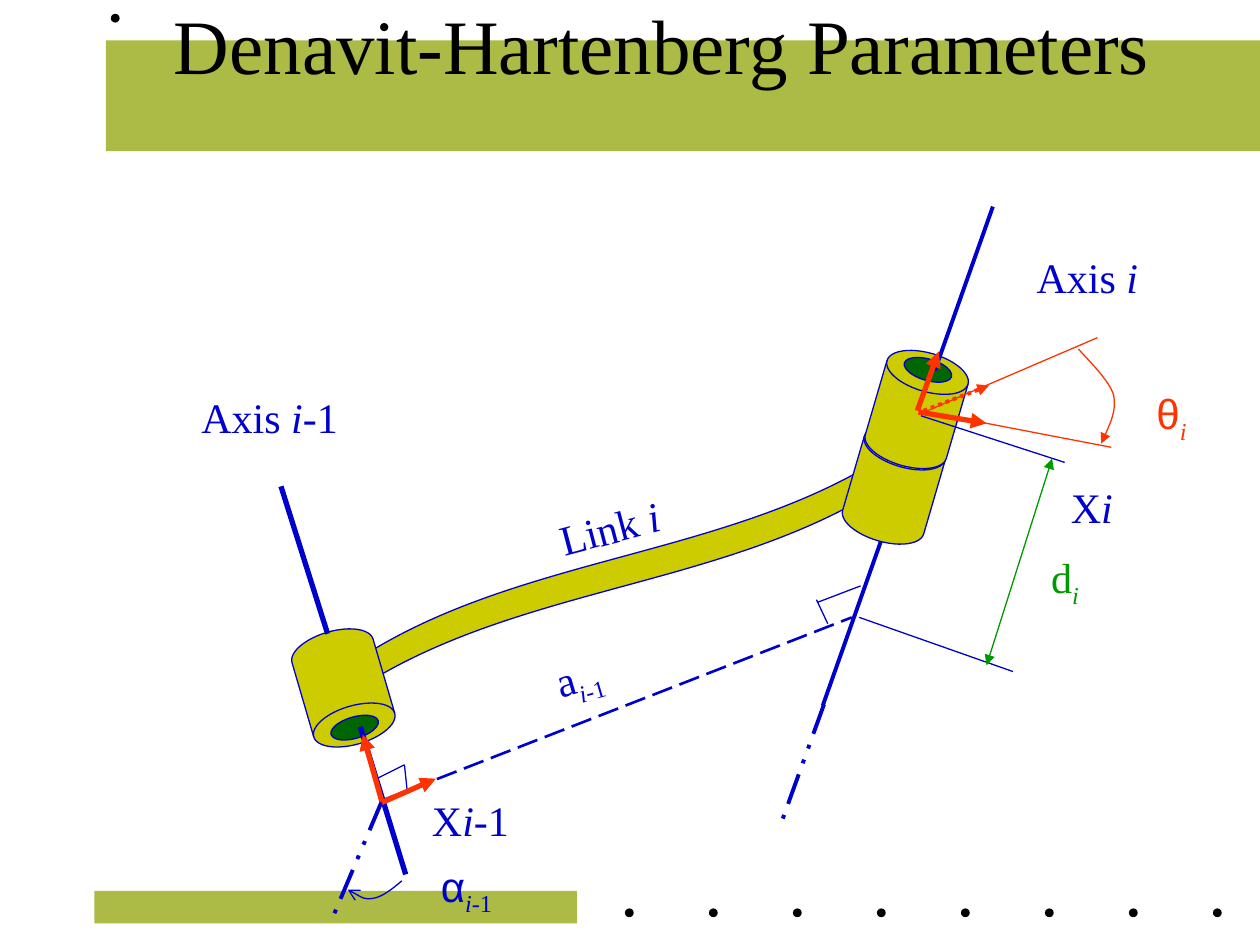
from dataclasses import dataclass

from lxml import etree
from pptx import Presentation
from pptx.dml.color import RGBColor
from pptx.enum.dml import MSO_LINE
from pptx.enum.shapes import MSO_CONNECTOR, MSO_SHAPE
from pptx.enum.text import MSO_ANCHOR, PP_ALIGN
from pptx.oxml.ns import qn
from pptx.util import Inches, Pt

RECT, OVAL = MSO_SHAPE.RECTANGLE, MSO_SHAPE.OVAL
CYLINDER = MSO_SHAPE.FLOWCHART_MAGNETIC_DISK
STRAIGHT = MSO_CONNECTOR.STRAIGHT
LONG_DASH, DASH_DOT_DOT = MSO_LINE.LONG_DASH, MSO_LINE.DASH_DOT_DOT
DOTTED = MSO_LINE.ROUND_DOT
LEFT, CENTER, RIGHT = PP_ALIGN.LEFT, PP_ALIGN.CENTER, PP_ALIGN.RIGHT
TOP, MIDDLE = MSO_ANCHOR.TOP, MSO_ANCHOR.MIDDLE


@dataclass(frozen=True)
class Theme:
    """Colours, fonts, type sizes and line widths."""
    band: str = "ACBA46"
    black: str = "000000"
    blue: str = "0000CC"
    red: str = "FF3300"
    green: str = "009900"
    body: str = "CCCC00"
    bore: str = "006600"
    serif: str = "Times New Roman"
    sans: str = "Arial"
    title: int = 44
    label: int = 24
    thin: float = 0.75
    dashed: float = 1.5
    medium: float = 2.25
    thick: float = 3


T = Theme()


def paint(sp, color):
    """Give a shape a solid fill, or none when color is None."""
    if color:
        sp.fill.solid()
        sp.fill.fore_color.rgb = RGBColor.from_string(color)
    else:
        sp.fill.background()


def style_line(line, color, width, dash=None, head=None, tail=None):
    """Set colour, width, dash and arrowheads of a line."""
    line.color.rgb = RGBColor.from_string(color)
    line.width = Pt(width)
    if dash:
        line.dash_style = dash
    for tag, kind in (("a:headEnd", head), ("a:tailEnd", tail)):
        if kind:
            etree.SubElement(line._get_or_add_ln(), qn(tag)).set("type", kind)


def add_line(s, start, end, color=T.blue, width=T.thin, **ends):
    """Draw a straight line between two points."""
    cx = s.shapes.add_connector(STRAIGHT, *(Inches(v) for v in (*start, *end)))
    style_line(cx.line, color, width, **ends)
    etree.SubElement(cx._element.spPr, qn("a:effectLst"))


def add_lines(s, pairs, **style):
    """Draw several lines in one style."""
    for start, end in pairs:
        add_line(s, start, end, **style)


def add_solid(s, kind, box, fill, outline=None, rot=0):
    """Add a filled preset shape, optionally outlined or rotated."""
    sp = s.shapes.add_shape(kind, *(Inches(v) for v in box))
    sp.shadow.inherit = False
    paint(sp, fill)
    if outline:
        style_line(sp.line, outline, T.thin)
    else:
        sp.line.fill.background()
    sp.rotation = rot
    return sp


def add_path(s, points, segments, color, fill=None, head=None):
    """Draw a path whose segments are C (cubic curve) or L (straight)."""
    pts = [(Inches(x), Inches(y)) for x, y in points]
    fb = s.shapes.build_freeform(*pts[0])
    fb.add_line_segments(pts[1:], close=bool(fill))
    sp = fb.convert_to_shape()
    sp.shadow.inherit = False
    steps = iter(list(sp._element.iter(qn("a:lnTo"))))
    for segment in segments:
        step = next(steps)
        if segment == "C":
            curve = etree.Element(qn("a:cubicBezTo"))
            step.addprevious(curve)
            for control in (step, next(steps), next(steps)):
                curve.append(control[0])
                control.getparent().remove(control)
    paint(sp, fill)
    style_line(sp.line, color, T.thin, head=head)


def add_text(s, box, runs, color=T.blue, size=T.label, align=LEFT, rot=0,
             wrap=True, anchor=TOP):
    """Add a line of text; run marks are i (italic), b (subscript), s (sans)."""
    sp = s.shapes.add_textbox(*(Inches(v) for v in box))
    sp.rotation = rot
    tf = sp.text_frame
    tf.word_wrap = wrap
    tf.vertical_anchor = anchor
    p = tf.paragraphs[0]
    p.alignment = align
    for text, marks in runs:
        r = p.add_run()
        r.text = text
        r.font.name = T.sans if "s" in marks else T.serif
        r.font.size = Pt(size)
        r.font.italic = "i" in marks
        r.font.color.rgb = RGBColor.from_string(color)
        if "b" in marks:
            r.font._element.set("baseline", "-25000")


def add_joint(s, x, y, bore_drop, tilt, flip=False):
    """Add a tilted cylinder with its bore."""
    sp = add_solid(s, CYLINDER, (x, y, 0.67, 0.92), T.body, T.blue, 180 + tilt)
    if flip:
        sp._element.spPr.xfrm.set("flipV", "1")
    add_solid(s, OVAL, (x + 0.23, y + bore_drop, 0.39, 0.17), T.bore, T.blue, tilt)


def add_backdrop(s):
    """Add the title and footer bands, the dots and the title."""
    add_solid(s, RECT, (0.75, 7.07, 3.83, 0.26), T.band)
    add_solid(s, RECT, (0.84, 0.32, 9.16, 0.88), T.band)
    dots = [(4.96 + i * 2 / 3, 7.21) for i in range(8)] + [(0.88, 0.11)]
    for x, y in dots:
        add_solid(s, OVAL, (x, y, 0.07, 0.07), T.black)
    add_text(s, (1.24, 0, 8.03, 0.69), [("Denavit-Hartenberg Parameters", "")],
             T.black, T.title, CENTER, anchor=MIDDLE)


def add_link(s):
    """Add the curved link and the joints at its ends."""
    upper = [(2.94, 5.17), (4.17, 4.42), (5.73, 4.41), (6.96, 3.66)]
    lower = [(6.95, 3.9), (5.72, 4.65), (4.16, 4.66), (2.93, 5.41)]
    add_path(s, upper + lower, "CLC", T.blue, fill=T.body)
    tilt = 16.3
    add_joint(s, 6.76, 3.39, 0.06, tilt, flip=True)
    add_joint(s, 2.39, 5, 0.69, -tilt)
    add_joint(s, 6.94, 2.79, 0.06, tilt, flip=True)


def add_axes(s):
    """Add both joint axes, their common normal and the twist angle."""
    previous_axis = [((2.23, 3.86), (2.6, 5.03)), ((2.86, 5.77), (3.22, 6.94))]
    current_axis = [((6.53, 5.6), (6.99, 4.3)), ((7.42, 2.94), (7.88, 1.64))]
    extensions = [((3.03, 6.36), (2.62, 7.33)), ((6.54, 5.59), (6.19, 6.56))]
    right_angles = [((2.99, 6.18), (3.21, 6.07)), ((3.21, 6.07), (3.23, 6.26)),
                    ((6.83, 4.65), (6.49, 4.78)), ((6.48, 4.76), (6.57, 4.95))]
    twist_arc = [(2.76, 7.06), (2.83, 7.1), (2.89, 7.14), (2.96, 7.13),
                 (3.03, 7.12), (3.11, 7.06), (3.19, 6.99)]
    add_lines(s, previous_axis, width=T.thick)
    add_line(s, (3.04, 6.35), (6.76, 4.9), width=T.dashed, dash=LONG_DASH)
    add_lines(s, right_angles)
    add_lines(s, extensions, width=T.medium, dash=DASH_DOT_DOT)
    add_path(s, twist_arc, "CC", T.blue, head="arrow")
    add_lines(s, current_axis, width=T.medium)


def add_frames(s):
    """Add the red coordinate arrows of both joints."""
    arrows = [((3.03, 6.36), (2.88, 5.83)), ((3.03, 6.37), (3.46, 6.18)),
              ((7.28, 3.26), (7.45, 2.79)), ((7.29, 3.27), (7.83, 3.36))]
    add_lines(s, arrows, color=T.red, width=T.thick, tail="triangle")
    add_line(s, (7.33, 3.26), (7.85, 3.06), T.red, T.medium, dash=DOTTED,
             tail="triangle")


def add_measures(s):
    """Add the offset dimension and the joint angle."""
    offset_guides = [((6.82, 4.9), (8.04, 5.33)), ((7.31, 3.3), (8.45, 3.67))]
    angle_sides = [((7.31, 3.26), (8.82, 3.55)), ((7.29, 3.29), (8.71, 2.68))]
    angle_arc = [(8.74, 3.52), (8.8, 3.39), (8.86, 3.26), (8.84, 3.14),
                 (8.81, 3.02), (8.61, 2.83), (8.56, 2.77)]
    add_lines(s, offset_guides)
    add_line(s, (8.35, 3.64), (7.83, 5.28), T.green, head="triangle", tail="triangle")
    add_lines(s, angle_sides, color=T.red)
    add_path(s, angle_arc, "CC", T.red, head="triangle")


def add_labels(s):
    """Name the axes, the link and the four parameters."""
    i, previous = [("i", "i")], [("i", "i"), ("-1", "")]
    sub_i, sub_previous = [("i", "ib")], [("i", "ib"), ("-1", "b")]
    axis, x = [("Axis ", "")], [("X", "")]
    add_text(s, (1.5, 3.06, 1.29, 0.5), axis + previous)
    add_text(s, (7.98, 1.95, 1.15, 0.5), axis + i, align=RIGHT)
    add_text(s, (4.15, 3.96, 1.19, 0.5), [("Link ", "")] + i, align=RIGHT, rot=345.2)
    add_text(s, (3.33, 6.26, 0.81, 0.5), x + previous, wrap=False)
    add_text(s, (8.4, 3.77, 0.53, 0.5), x + i, wrap=False)
    add_text(s, (4.3, 5, 1.39, 0.56), [("a", "")] + sub_previous, rot=343.6)
    add_text(s, (3.4, 6.78, 1.35, 0.56), [("α", "s")] + sub_previous)
    add_text(s, (8.05, 4.33, 0.61, 0.56), [("d", "")] + sub_i, T.green, align=RIGHT)
    add_text(s, (9.08, 3.03, 0.55, 0.56), [("θ", "s")] + sub_i, T.red)


def main():
    """Build the slide and save it."""
    prs = Presentation()
    prs.slide_width, prs.slide_height = Inches(10), Inches(7.5)
    s = prs.slides.add_slide(prs.slide_layouts[6])
    for add_part in (add_backdrop, add_link, add_axes, add_frames,
                     add_measures, add_labels):
        add_part(s)
    prs.save("out.pptx")


if __name__ == "__main__":
    main()
